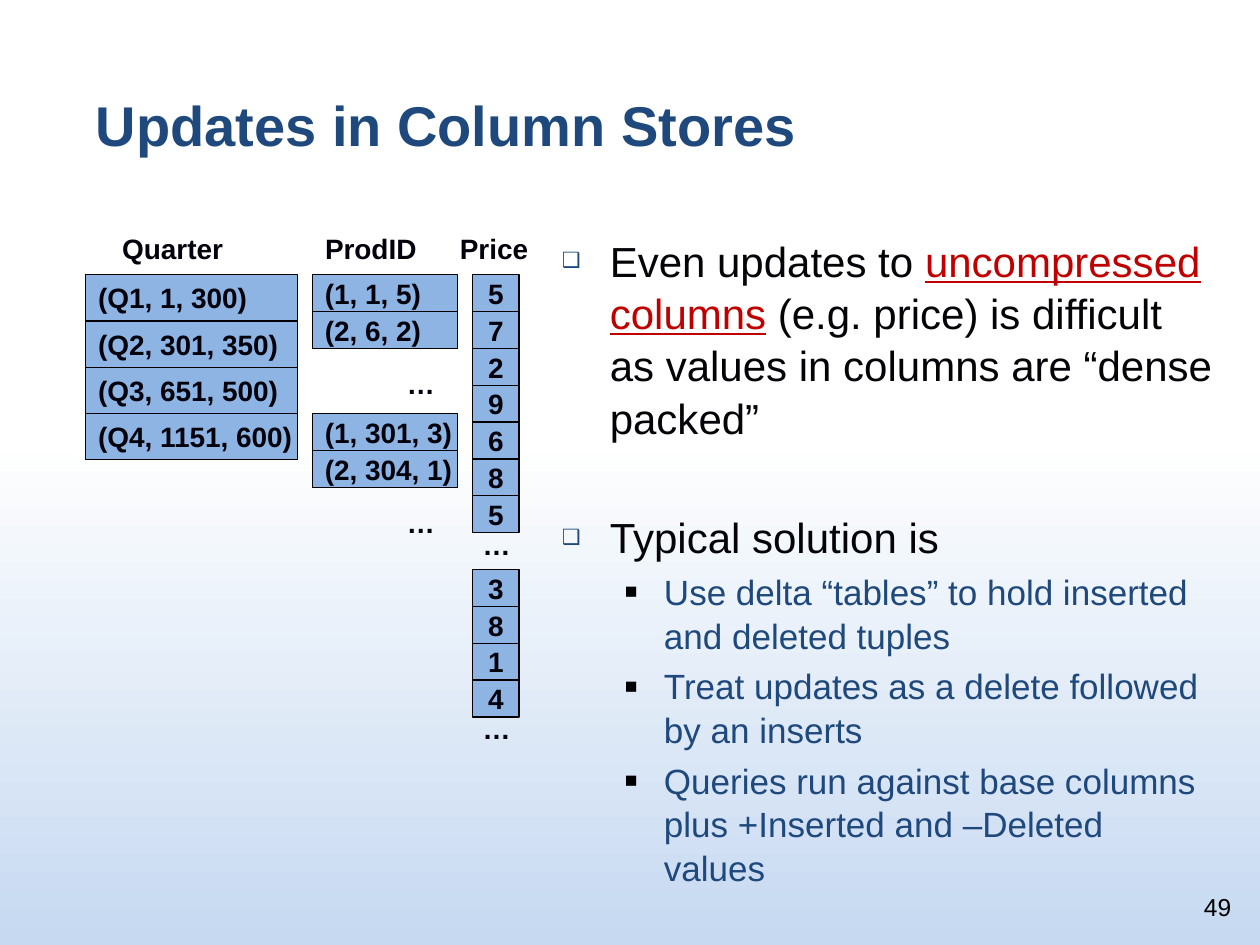
from pptx import Presentation
from pptx.dml.color import RGBColor
from pptx.enum.shapes import MSO_SHAPE
from pptx.enum.text import MSO_ANCHOR, MSO_AUTO_SIZE, PP_ALIGN
from pptx.oxml.ns import qn
from pptx.util import Inches, Pt
from lxml import etree

RECT = MSO_SHAPE.RECTANGLE
LEFT, CENTER, RIGHT = PP_ALIGN.LEFT, PP_ALIGN.CENTER, PP_ALIGN.RIGHT
TOP, MIDDLE, BOTTOM = MSO_ANCHOR.TOP, MSO_ANCHOR.MIDDLE, MSO_ANCHOR.BOTTOM
NO_FIT = MSO_AUTO_SIZE.NONE

COLORS = {
    "navy": "1F497D", "text": "040408", "label": "01020B", "red": "C00000",
    "black": "000000", "cell": "8EB4E3", "white": "FFFFFF", "sky": "C6D9F1",
}
LEVELS = [
    {"size": 24, "color": "text", "left": 0.38, "hang": 0.38,
     "char": "\u2751", "bullet": "navy", "percent": 50},
    {"size": 20, "color": "navy", "left": 0.81, "hang": 0.31,
     "char": "\u25a0", "bullet": "black", "percent": 60},
]


class SlideBuilder:
    font = "Arial"

    def __init__(self, slide):
        self.slide = slide

    def color(self, name):
        return RGBColor.from_string(COLORS[name])

    def format_run(self, r, size, color, bold=False):
        r.font.name = self.font
        r.font.size = Pt(size)
        r.font.bold = bold
        r.font.color.rgb = self.color(color)

    def place(self, sp, left, top, width, height):
        sp.left, sp.top = Inches(left), Inches(top)
        sp.width, sp.height = Inches(width), Inches(height)

    def set_text(self, sp, text, size, color, bold=True, align=LEFT, anchor=TOP):
        tf = sp.text_frame
        tf.text = text
        tf.vertical_anchor = anchor
        tf.auto_size = NO_FIT
        p = tf.paragraphs[0]
        p.alignment = align
        self.format_run(p.runs[0], size, color, bold)
        return tf

    def background(self, start, end):
        fill = self.slide.background.fill
        fill.gradient()
        fill.gradient_angle = 270
        for stop, position, name in zip(fill.gradient_stops, (0.46, 1), (start, end)):
            stop.position = position
            stop.color.rgb = self.color(name)

    def title(self, text, *box):
        sp = self.slide.shapes.title
        self.place(sp, *box)
        self.set_text(sp, text, 32, "navy", anchor=BOTTOM)

    def bullet(self, p, style):
        pPr = p._p.get_or_add_pPr()
        pPr.set("marL", str(Inches(style["left"])))
        pPr.set("indent", str(-Inches(style["hang"])))
        clr = etree.SubElement(pPr, qn("a:buClr"))
        etree.SubElement(clr, qn("a:srgbClr"), val=COLORS[style["bullet"]])
        etree.SubElement(pPr, qn("a:buSzPct"), val=str(style["percent"] * 1000))
        etree.SubElement(pPr, qn("a:buFont"), typeface=self.font)
        etree.SubElement(pPr, qn("a:buChar"), char=style["char"])

    def body(self, items, *box):
        sp = self.slide.placeholders[1]
        self.place(sp, *box)
        tf = sp.text_frame
        tf.auto_size = NO_FIT
        for i, (level, gap, parts) in enumerate(items):
            p = tf.paragraphs[0] if i == 0 else tf.add_paragraph()
            style = LEVELS[level]
            p.level = level
            p.line_spacing = 1.04
            p.space_before = Pt(gap)
            self.bullet(p, style)
            for text, marked in parts:
                r = p.add_run()
                r.text = text
                self.format_run(r, style["size"], "red" if marked else style["color"])
                r.font.underline = marked

    def label(self, text, left, top, width, height, align=LEFT):
        sp = self.slide.shapes.add_textbox(0, 0, 0, 0)
        self.place(sp, left, top, width, height)
        tf = self.set_text(sp, text, 16, "label", align=align)
        tf.word_wrap = True
        tf.margin_left = tf.margin_right = tf.margin_top = tf.margin_bottom = 0

    def page_number(self, text, *box):
        sp = self.slide.shapes.add_textbox(0, 0, 0, 0)
        self.place(sp, *box)
        tf = self.set_text(sp, text, 14, "black", False, RIGHT, BOTTOM)
        tf.word_wrap = True

    def cells(self, values, left, top, width, height, align=LEFT):
        for i, value in enumerate(values):
            sp = self.slide.shapes.add_shape(RECT, 0, 0, 0, 0)
            self.place(sp, left, top + i * height, width, height)
            sp.shadow.inherit = False
            sp.fill.solid()
            sp.fill.fore_color.rgb = self.color("cell")
            sp.line.color.rgb = self.color("black")
            sp.line.width = Pt(0.75)
            tf = self.set_text(sp, value, 16, "label", align=align, anchor=MIDDLE)
            tf.word_wrap = False


prs = Presentation()
prs.slide_width, prs.slide_height = Inches(10), Inches(7.5)
s = SlideBuilder(prs.slides.add_slide(prs.slide_layouts[1]))

s.background("white", "sky")
s.title("Updates in Column Stores", 0.66, 0.22, 8.5, 1.08)
s.body([
    (0, 4.8, [("Even updates to ", False), ("uncompressed columns", True),
              (" (e.g. price) is difficult as values in columns are "
               "\u201cdense packed\u201d", False)]),
    (0, 38.3, [("Typical solution is", False)]),
    (1, 4, [("Use delta \u201ctables\u201d to hold inserted and deleted tuples", False)]),
    (1, 4, [("Treat updates as a delete followed by an inserts", False)]),
    (1, 4, [("Queries run against base columns plus +Inserted and "
             "\u2013Deleted values", False)]),
], 4.36, 1.8, 5.38, 5.83)
s.page_number("49", 7.79, 6.86, 2.08, 0.5)

GRID_TOP = 2.18
QUARTER_ROW = 1.47 / 4
ROW = 3.51 / 12

for text, left, width in [("Quarter", 0.97, 0.88), ("ProdID", 2.58, 1.07),
                          ("Price", 3.65, 0.66)]:
    s.label(text, left, 1.84, width, 0.24)

s.cells(["(Q1, 1, 300)", "(Q2, 301, 350)", "(Q3, 651, 500)", "(Q4, 1151, 600)"],
        0.68, GRID_TOP, 1.68, QUARTER_ROW)

prod_blocks = [["(1, 1, 5)", "(2, 6, 2)"], ["(1, 301, 3)", "(2, 304, 1)"]]
for i, values in enumerate(prod_blocks):
    top = GRID_TOP + i * 3 * QUARTER_ROW
    s.cells(values, 2.48, top, 1.15, ROW)
    s.label("\u2026", 3.23, top + 0.73, 0.22, 0.24)

for first_row, values in [(0, "5729685"), (8, "3814")]:
    top = GRID_TOP + first_row * ROW
    s.cells(values, 3.75, top, 0.37, ROW, CENTER)
    s.label("\u2026", 3.83, top + len(values) * ROW - 0.04, 0.22, 0.27, CENTER)

prs.save("out.pptx")
